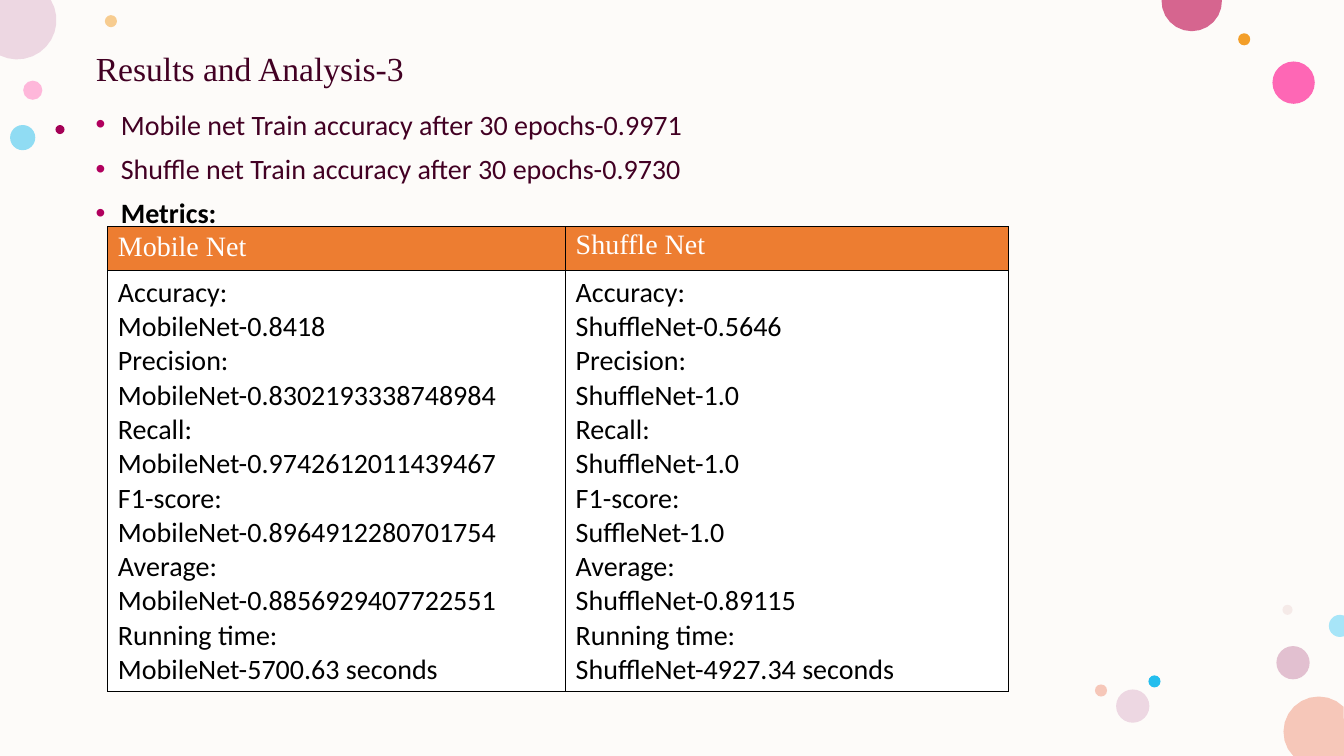
from math import cos, radians, sin

from lxml import etree
from pptx import Presentation
from pptx.dml.color import RGBColor
from pptx.enum.shapes import MSO_SHAPE
from pptx.enum.text import MSO_ANCHOR, MSO_AUTO_SIZE, PP_ALIGN
from pptx.oxml.ns import qn
from pptx.util import Inches, Pt

OVAL, RECT = MSO_SHAPE.OVAL, MSO_SHAPE.RECTANGLE
MIDDLE = MSO_ANCHOR.MIDDLE
NO_FIT = MSO_AUTO_SIZE.NONE
LEFT = PP_ALIGN.LEFT
WIDE, HIGH = 13.33, 7.5
SERIF, SANS = "Times New Roman", "Calibri"
PLUM, BLACK, WHITE = "420023", "000000", "FFFFFF"

# left, top, diameter, colour, opacity in percent
DOTS = [
    (0.23, 0.8, 0.19, "FF75BD", 50),
    (1.04, 0.15, 0.12, "F39E29", 50),
    (12.66, 6.41, 0.33, "C987A8", 50),
    (0.1, 1.24, 0.25, "24BEEE", 50),
    (12.62, 0.61, 0.42, "FF2F9C", 72),
    (12.28, 0.33, 0.12, "F39E29", 100),
    (12.72, 6, 0.1, "E3BEBE", 28),
    (11.39, 6.7, 0.12, "24BEEE", 100),
    (11.07, 6.84, 0.33, "EDD7E2", 100),
    (10.86, 6.79, 0.12, "F6C7B9", 100),
    (0.55, 1.24, 0.09, "A40056", 100),
]
# centre x, centre y, radius, first and last angle, slide corners, colour
EDGE_DOTS = [
    (13.08, 7.26, 0.35, 136, 315, [(WIDE, HIGH)], "F6C7B9"),
    (0.17, 0.2, 0.39, -31, 116, [(0, 0)], "EDD7E2"),
    (11.82, 0.01, 0.3, -2, 182, [], "D6658F"),
    (13.29, 6.21, 0.11, 69, 291, [], "A7E5F8"),
]
BULLETS = [
    ("Mobile net Train accuracy after 30 epochs-0.9971", PLUM, False),
    ("Shuffle net Train accuracy after 30 epochs-0.9730", PLUM, False),
    ("Metrics:", BLACK, True),
]
HEADS = ["Mobile Net", "Shuffle Net"]
METRICS = [
    ("Accuracy:", "MobileNet-0.8418", "ShuffleNet-0.5646"),
    ("Precision:", "MobileNet-0.8302193338748984", "ShuffleNet-1.0"),
    ("Recall:", "MobileNet-0.9742612011439467", "ShuffleNet-1.0"),
    ("F1-score:", "MobileNet-0.8964912280701754", "SuffleNet-1.0"),
    ("Average:", "MobileNet-0.8856929407722551", "ShuffleNet-0.89115"),
    ("Running time:", "MobileNet-5700.63 seconds", "ShuffleNet-4927.34 seconds"),
]


def rgb(code):
    return RGBColor.from_string(code)


def paint(shape, color, alpha=100):
    shape.shadow.inherit = False
    shape.fill.solid()
    shape.fill.fore_color.rgb = rgb(color)
    shape.line.fill.background()
    if alpha < 100:
        tint = shape.fill._xPr.find(".//" + qn("a:srgbClr"))
        etree.SubElement(tint, qn("a:alpha"), val=str(alpha * 1000))


def add_run(para, text, font, size, color, bold=False):
    run = para.add_run()
    run.text = text
    run.font.name = font
    run.font.size = Pt(size)
    run.font.color.rgb = rgb(color)
    run.font.bold = bold


def next_para(frame, index):
    return frame.add_paragraph() if index else frame.paragraphs[0]


def add_ground(slide):
    box = [Inches(v) for v in (0, 0, WIDE, HIGH)]
    paint(slide.shapes.add_shape(RECT, *box), "FDFBF9")


def add_dots(slide):
    for left, top, size, color, alpha in DOTS:
        box = [Inches(v) for v in (left, top, size, size)]
        paint(slide.shapes.add_shape(OVAL, *box), color, alpha)


def add_edge_dots(slide, steps=12):
    """Draw circles that are cut off straight at the slide's edges."""
    for x, y, radius, first, last, corners, color in EDGE_DOTS:
        turns = [radians(first + (last - first) * i / steps)
                 for i in range(steps + 1)]
        arc = [(x + radius * cos(t), y + radius * sin(t)) for t in turns]
        points = [(Inches(min(max(px, 0), WIDE)), Inches(min(max(py, 0), HIGH)))
                  for px, py in arc + corners]
        build = slide.shapes.build_freeform(*points[0])
        build.add_line_segments(points[1:], close=True)
        paint(build.convert_to_shape(), color)


def set_title(slide, left, top, width, height):
    title = slide.shapes.title
    slide.shapes._spTree.append(title._element)  # in front of the ground
    title.left, title.top = Inches(left), Inches(top)
    title.width, title.height = Inches(width), Inches(height)
    frame = title.text_frame
    frame.auto_size = NO_FIT
    frame.vertical_anchor = MIDDLE
    para = frame.paragraphs[0]
    para.alignment = LEFT
    para.line_spacing = 0.9
    add_run(para, "Results and Analysis-3", SERIF, 24, PLUM)


def add_bullets(slide, left, top, width, height):
    box = [Inches(v) for v in (left, top, width, height)]
    frame = slide.shapes.add_textbox(*box).text_frame
    frame.word_wrap = True
    for i, (text, color, bold) in enumerate(BULLETS):
        para = next_para(frame, i)
        para.line_spacing = 0.9
        para.space_before = Pt(10)
        props = para._p.get_or_add_pPr()
        props.set("marL", str(Inches(0.25)))
        props.set("indent", str(Inches(-0.25)))
        tint = etree.SubElement(props, qn("a:buClr"))
        etree.SubElement(tint, qn("a:srgbClr"), val="B1005E")
        etree.SubElement(props, qn("a:buFont"), typeface="Arial")
        etree.SubElement(props, qn("a:buChar"), char="•")
        add_run(para, text, SANS, 20, color, bold)


def style_cell(cell, color):
    """Give a cell thin black borders and a plain fill."""
    props = cell._tc.get_or_add_tcPr()
    for side in ("lnL", "lnR", "lnT", "lnB"):
        line = etree.SubElement(props, qn("a:" + side), w=str(Pt(1)))
        fill = etree.SubElement(line, qn("a:solidFill"))
        etree.SubElement(fill, qn("a:srgbClr"), val=BLACK)
    cell.fill.solid()
    cell.fill.fore_color.rgb = rgb(color)


def add_metrics(slide, left, top, cols, rows):
    box = [Inches(v) for v in (left, top, sum(cols), sum(rows))]
    table = slide.shapes.add_table(2, 2, *box).table
    table.horz_banding = False
    for row, height in zip(table.rows, rows):
        row.height = Inches(height)
    for c, width in enumerate(cols):
        table.columns[c].width = Inches(width)
        head, body = table.cell(0, c), table.cell(1, c)
        style_cell(head, "ED7D31")
        style_cell(body, WHITE)
        para = head.text_frame.paragraphs[0]
        add_run(para, HEADS[c], SERIF, 20, WHITE)
        if c == 1:
            para.line_spacing = 0.9
            para.space_before = Pt(10)
        lines = [t for m in METRICS for t in (m[0], m[c + 1])]
        for i, text in enumerate(lines):
            add_run(next_para(body.text_frame, i), text, SANS, 20, BLACK)


def main():
    deck = Presentation()
    deck.slide_width, deck.slide_height = Inches(WIDE), Inches(HIGH)
    slide = deck.slides.add_slide(deck.slide_layouts[5])
    add_ground(slide)
    add_dots(slide)
    add_edge_dots(slide)
    set_title(slide, 0.85, 0.4, 11.66, 0.61)
    add_bullets(slide, 0.85, 1.05, 11.66, 5.71)
    add_metrics(slide, 1.07, 2.25, (4.54, 4.39), (0.42, 4.18))
    deck.save("out.pptx")


if __name__ == "__main__":
    main()
